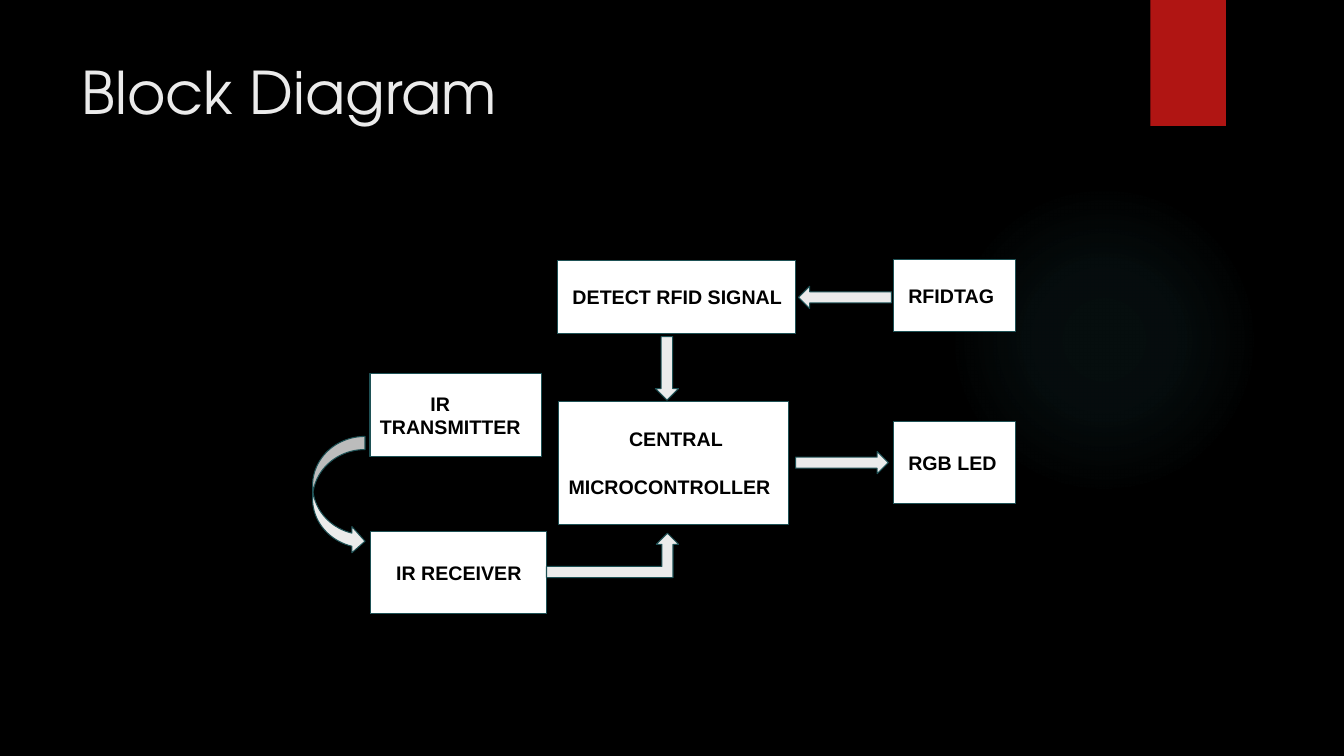
import pptx
import pptx.util
import pptx.dml.color
import pptx.enum.shapes
import pptx.enum.text
import pptx.oxml.ns
import lxml.etree

Inches = pptx.util.Inches
Pt = pptx.util.Pt
SHAPE = pptx.enum.shapes.MSO_SHAPE
ANCHOR = pptx.enum.text.MSO_ANCHOR
ALIGN = pptx.enum.text.PP_ALIGN

THEME = {
    "back": "000000", "box": "FFFFFF", "edge": "1E5155", "arrow": "EBEBEB",
    "text": "000000", "title": "EBEBEB", "tab": "B01513", "glow": "50B9C1",
    "head": ("TeX Gyre Adventor", 42), "label": ("Arial", 14),
    "line": 0.75, "gap": 17,
}
TITLE = ("Block Diagram", (0.71, 0.5, 10.29, 1.53))
GLOW = (9.41, 1.83, 3.08, 3.08)
STOPS = [(0, 7), (36, 6), (69, 0)]  # position and opacity in percent
TAB = (11.41, 0, 0.75, 1.25)

# place, then lines of (text, left margin, first-line indent)
BOXES = [
    ((5.54, 3.98, 2.28, 1.22), [("CENTRAL", 0.6, 0), ("MICROCONTROLLER", 0, 0)]),
    ((8.86, 4.18, 1.21, 0.82), [("RGB LED", 0.05, 0)]),
    ((3.67, 3.71, 1.7, 0.82), [("IR TRANSMITTER", 0, 0.5)]),
    ((3.67, 5.27, 1.75, 0.82), [("IR RECEIVER", 0.16, 0)]),
    ((5.53, 2.58, 2.36, 0.73), [("DETECT RFID SIGNAL", 0.05, 0)]),
    ((8.86, 2.57, 1.21, 0.72), [("RFIDTAG", 0.05, 0)]),
]
# kind, place, rotation
ARROWS = [
    (SHAPE.RIGHT_ARROW, (7.89, 4.48, 0.92, 0.22), 0),
    (SHAPE.CURVED_RIGHT_ARROW, (3.1, 4.33, 0.52, 1.17), 0),
    (SHAPE.BENT_UP_ARROW, (5.42, 5.29, 1.31, 0.44), 0),
    (SHAPE.DOWN_ARROW, (6.5, 3.34, 0.23, 0.63), 0),
    (SHAPE.RIGHT_ARROW, (7.92, 2.84, 0.92, 0.22), 180),
]


def color(name):
    return pptx.dml.color.RGBColor.from_string(THEME[name])


def add_part(slide, kind, place, fill, edge=None):
    part = slide.shapes.add_shape(kind, *map(Inches, place))
    part.shadow.inherit = False
    part.fill.solid()
    part.fill.fore_color.rgb = color(fill)
    if edge:
        part.line.color.rgb = color(edge)
        part.line.width = Pt(THEME["line"])
    else:
        part.line.fill.background()
    return part


def add_run(para, text, face, shade, bold=False):
    run = para.add_run()
    run.text = text
    run.font.name, size = THEME[face]
    run.font.size = Pt(size)
    run.font.bold = bold
    run.font.color.rgb = color(shade)


def add_box(slide, place, lines):
    box = add_part(slide, SHAPE.RECTANGLE, place, "box", "edge")
    frame = box.text_frame
    frame.word_wrap = True
    frame.vertical_anchor = ANCHOR.MIDDLE
    frame.margin_left = frame.margin_right = Inches(0.1)
    frame.margin_top = frame.margin_bottom = Inches(0.1)
    for i, (text, left, indent) in enumerate(lines):
        para = frame.add_paragraph() if i else frame.paragraphs[0]
        para.alignment = ALIGN.LEFT
        para.space_before = Pt(THEME["gap"] if i else 0)
        props = para._p.get_or_add_pPr()
        props.set("marL", str(Inches(left)))
        props.set("indent", str(Inches(indent)))
        add_run(para, text, "label", "text", True)


def add_glow(slide):
    """Draw a circle that fades out from its centre."""
    glow = add_part(slide, SHAPE.OVAL, GLOW, "glow")
    stops = "".join(
        f'<a:gs pos="{pos * 1000}"><a:srgbClr val="{THEME["glow"]}">'
        f'<a:alpha val="{alpha * 1000}"/></a:srgbClr></a:gs>'
        for pos, alpha in STOPS)
    grad = lxml.etree.fromstring(
        '<a:gradFill xmlns:a="http://schemas.openxmlformats.org/drawingml/2006/main">'
        f'<a:gsLst>{stops}</a:gsLst><a:path path="circle">'
        '<a:fillToRect l="50000" t="50000" r="50000" b="50000"/></a:path></a:gradFill>')
    props = glow._element.spPr
    props.replace(props.find(pptx.oxml.ns.qn("a:solidFill")), grad)


def set_title(slide):
    text, place = TITLE
    title = slide.shapes.title
    title.left, title.top, title.width, title.height = map(Inches, place)
    frame = title.text_frame
    frame.word_wrap = True
    frame.vertical_anchor = ANCHOR.TOP
    para = frame.paragraphs[0]
    para.alignment = ALIGN.LEFT
    add_run(para, text, "head", "title")


def main():
    deck = pptx.Presentation()
    deck.slide_width, deck.slide_height = Inches(13.33), Inches(7.5)
    slide = deck.slides.add_slide(deck.slide_layouts[5])
    slide.background.fill.solid()
    slide.background.fill.fore_color.rgb = color("back")
    add_glow(slide)
    add_part(slide, SHAPE.RECTANGLE, TAB, "tab")
    set_title(slide)
    for place, lines in BOXES:
        add_box(slide, place, lines)
    for kind, place, turn in ARROWS:
        arrow = add_part(slide, kind, place, "arrow", "edge")
        arrow.rotation = turn
    deck.save("out.pptx")


if __name__ == "__main__":
    main()
